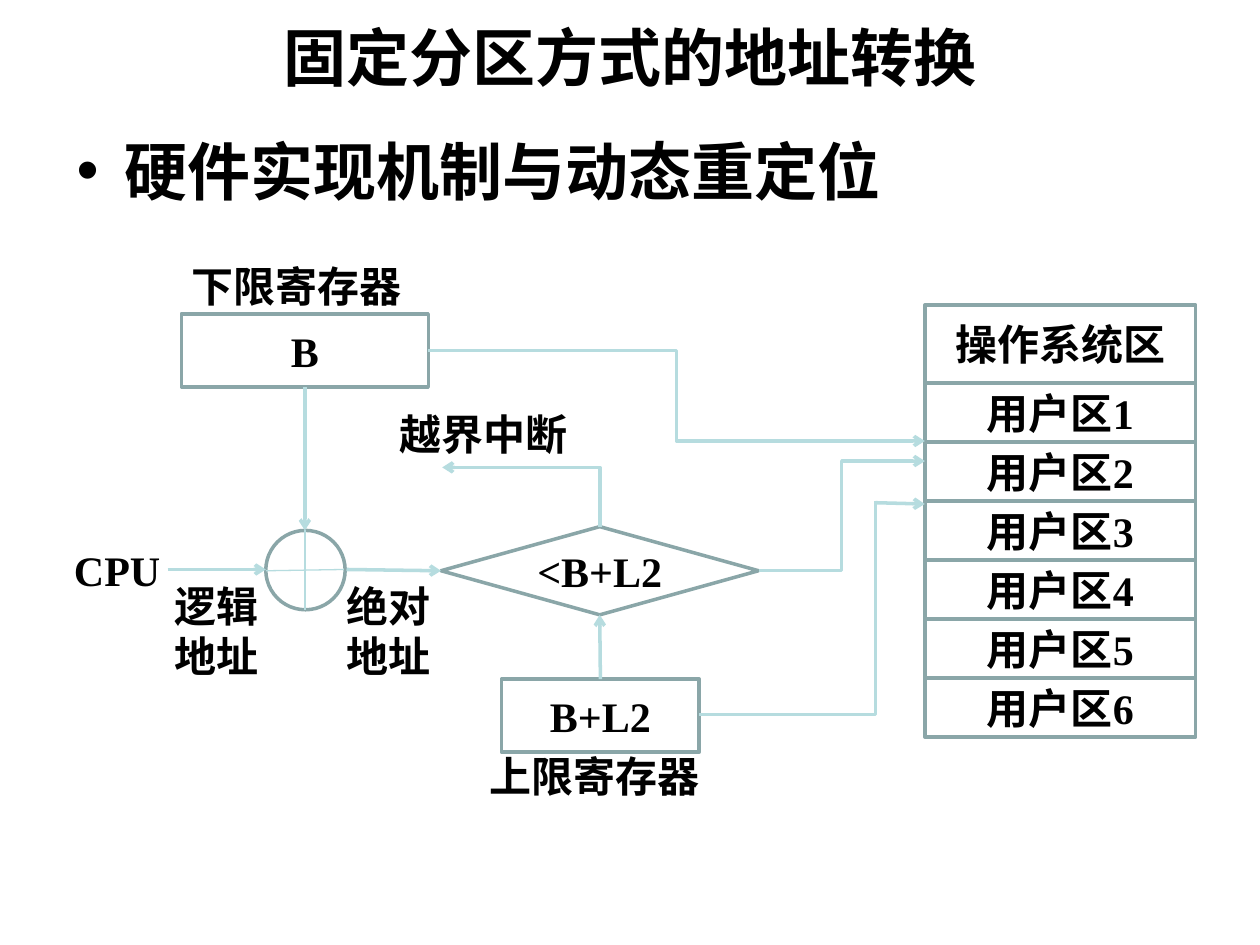
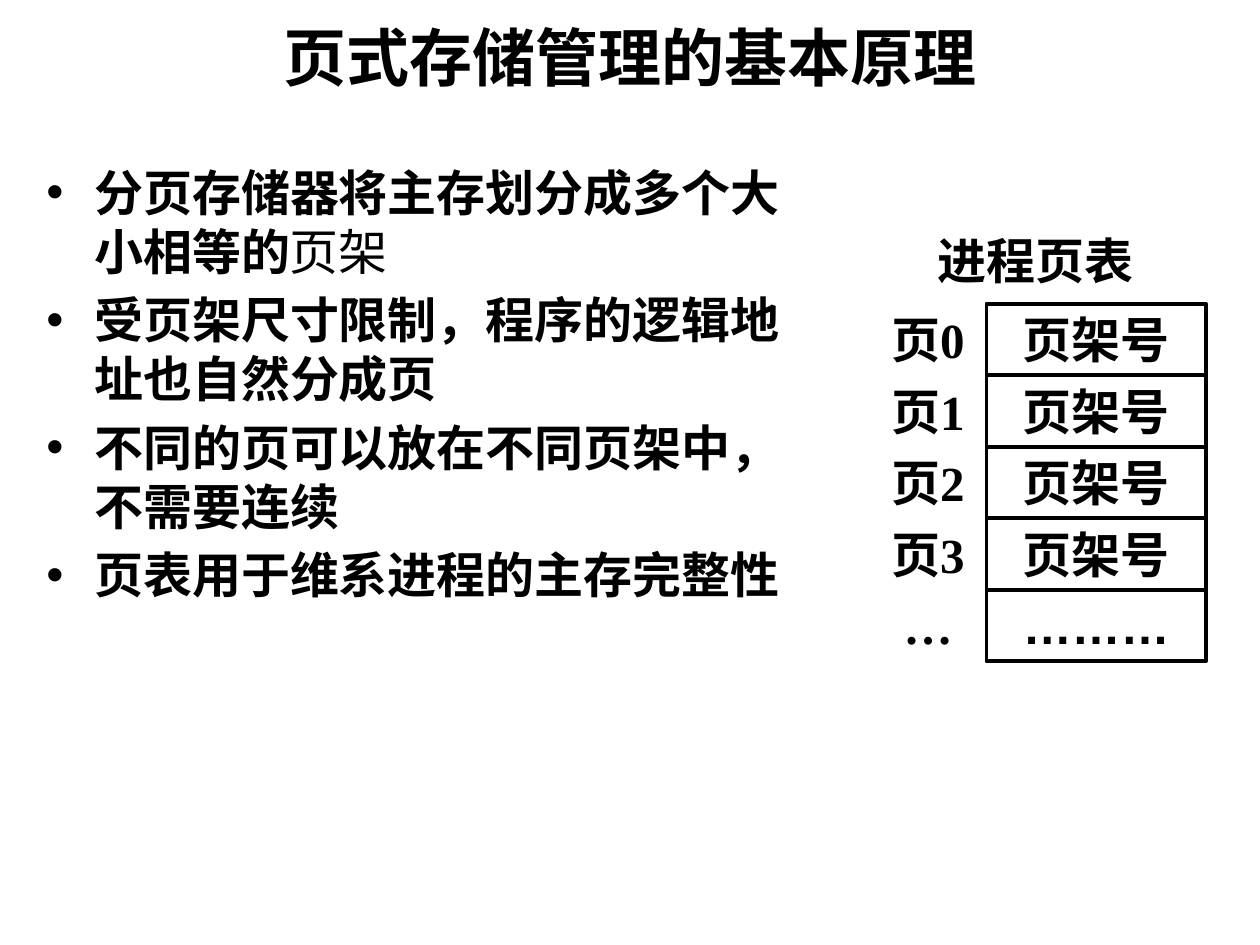
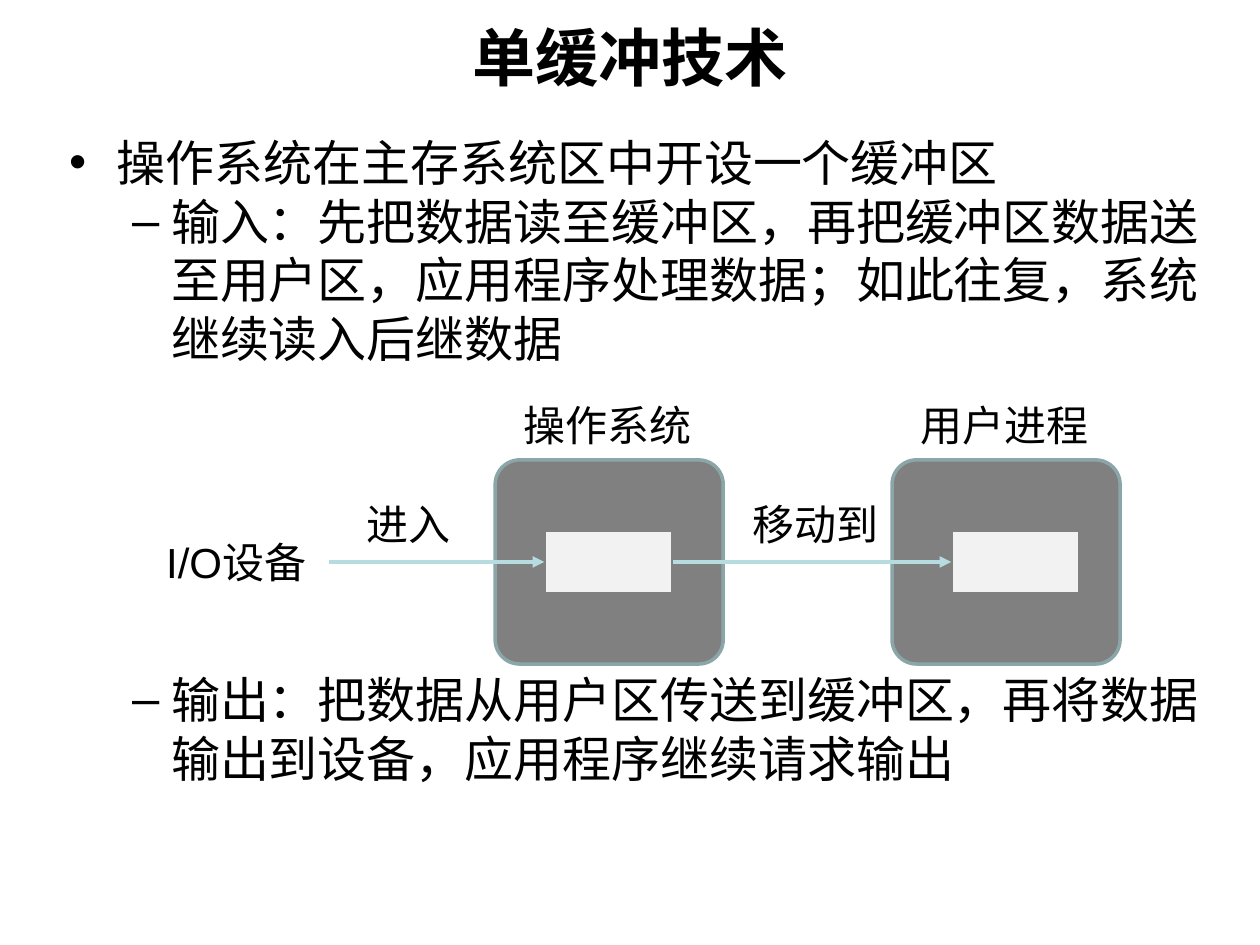
from lxml import etree
from pptx import Presentation
from pptx import util as u
from pptx.dml.color import RGBColor
from pptx.enum import shapes, text
from pptx.oxml.ns import qn

BLACK, GRAY, PALE = "000000", "808080", "F2F2F2"
FRAME, ARROW = "8AA6A8", "B6DCDF"
SERIF, SANS = "Times New Roman", "Arial"
CENTER, LEFT = text.PP_ALIGN.CENTER, text.PP_ALIGN.LEFT
MIDDLE, TOP = text.MSO_ANCHOR.MIDDLE, text.MSO_ANCHOR.TOP
SHAPE, CONNECTOR = shapes.MSO_SHAPE, shapes.MSO_CONNECTOR
TIGHT = 0.02
INDENTS = {"•": (0.38, -0.38), "–": (0.81, -0.31)}


def color(value):
    return RGBColor.from_string(value)


def inches(*values):
    return [u.Inches(value) for value in values]


def add_span(para, words, size, font, bold):
    span = para.add_run()
    span.text = words
    span.font.size = u.Pt(size)
    span.font.name = font
    span.font.bold = bold
    span.font.color.rgb = color(BLACK)


def write(frame, words, size=24, font=SERIF, bold=True, align=CENTER,
          anchor=MIDDLE, inset=0.1, wrap=True):
    """Fill a text frame, one paragraph for each line of words."""
    frame.word_wrap = wrap
    frame.vertical_anchor = anchor
    frame.margin_left = frame.margin_right = u.Inches(inset)
    for index, line in enumerate(words.split("\n")):
        para = frame.add_paragraph() if index else frame.paragraphs[0]
        para.alignment = align
        add_span(para, line, size, font, bold)


def set_bullet(para, mark):
    left, hanging = inches(*INDENTS[mark])
    properties = para._p.get_or_add_pPr()
    properties.set("marL", str(left))
    properties.set("indent", str(hanging))
    font = etree.SubElement(properties, qn("a:buFont"))
    font.set("typeface", SANS)
    etree.SubElement(properties, qn("a:buChar")).set("char", mark)


class Deck:
    """Holds the presentation and the page being drawn."""

    def __init__(self):
        self.deck = Presentation()
        self.deck.slide_width, self.deck.slide_height = inches(10, 7.5)
        self.page = None

    def start_page(self, title, font=SANS):
        self.page = self.deck.slides.add_slide(self.deck.slide_layouts[6])
        self.label(title, 0.5, 0, 9, 0.9, size=36, font=font)

    def label(self, words, left, top, width, height, **style):
        box = self.page.shapes.add_textbox(*inches(left, top, width, height))
        write(box.text_frame, words, **style)
        return box

    def caption(self, words, left, top, width, **style):
        """A one-line label that does not wrap."""
        return self.label(words, left, top, width, 0.5, align=LEFT, anchor=TOP,
                          wrap=False, **style)

    def shape(self, kind, left, top, width, height, words="", fill=None,
              line=FRAME, weight=2, **style):
        shape = self.page.shapes.add_shape(kind, *inches(left, top, width, height))
        shape.shadow.inherit = False
        if fill:
            shape.fill.solid()
            shape.fill.fore_color.rgb = color(fill)
        else:
            shape.fill.background()
        shape.line.color.rgb = color(line)
        shape.line.width = u.Pt(weight)
        if words:
            write(shape.text_frame, words, **style)
        return shape

    def bullets(self, items, left, top, width, height, size, font, bold):
        """Each item is (mark, points before, spans); a span is (words, bold) or words."""
        box = self.page.shapes.add_textbox(*inches(left, top, width, height))
        frame = box.text_frame
        frame.word_wrap = True
        for index, (mark, before, *spans) in enumerate(items):
            para = frame.add_paragraph() if index else frame.paragraphs[0]
            set_bullet(para, mark)
            if before:
                para.space_before = u.Pt(before)
            for span in spans:
                words, weight = (span, bold) if isinstance(span, str) else span
                add_span(para, words, size, font, weight)

    def line(self, start, end, kind=CONNECTOR.STRAIGHT, weight=2, head=None,
             tail="arrow", corner=False):
        """Ends are (x, y) points or (shape, side); corner makes a single bend."""
        joined = [hasattr(place[0], "shape_id") for place in (start, end)]
        points = [(0, 0) if glued else place
                  for glued, place in zip(joined, (start, end))]
        connector = self.page.shapes.add_connector(kind, *inches(*points[0], *points[1]))
        if joined[0]:
            connector.begin_connect(*start)
        if joined[1]:
            connector.end_connect(*end)
        connector.line.color.rgb = color(ARROW)
        connector.line.width = u.Pt(weight)
        properties = connector._element.spPr
        if corner:
            properties.find(qn("a:prstGeom")).set("prst", "bentConnector2")
        for tag, arrowhead in (("a:headEnd", head), ("a:tailEnd", tail)):
            if arrowhead:
                etree.SubElement(properties.find(qn("a:ln")), qn(tag)).set("type", arrowhead)
        etree.SubElement(properties, qn("a:effectLst"))

    def elbow(self, start, end, **style):
        self.line(start, end, kind=CONNECTOR.ELBOW, **style)


def address_translation(deck):
    deck.start_page("固定分区方式的地址转换", font=SERIF)
    deck.bullets([("•", 0, "硬件实现机制与动态重定位")],
                 0.51, 1, 9, 4.95, size=36, font=SANS, bold=True)

    deck.shape(SHAPE.RECTANGLE, 7.34, 2.42, 2.15, 0.62, "操作系统区")
    pitch = 2.34 / 5
    for row in range(6):
        deck.shape(SHAPE.RECTANGLE, 7.34, 3.04 + pitch * row, 2.15, 0.47, f"用户区{row + 1}")

    deck.caption("下限寄存器", 1.42, 2.02, 1.89)
    lower = deck.shape(SHAPE.RECTANGLE, 1.44, 2.49, 1.96, 0.58, "B", inset=TIGHT)
    upper = deck.shape(SHAPE.RECTANGLE, 3.98, 5.39, 1.57, 0.58, "B+L2", inset=TIGHT)
    deck.caption("上限寄存器", 3.79, 5.91, 1.89)
    check = deck.shape(SHAPE.FLOWCHART_DECISION, 3.5, 4.18, 2.52, 0.7, "<B+L2", inset=TIGHT)
    deck.caption("越界中断", 3.07, 3.19, 1.56)

    deck.label("CPU", 0.48, 4.21, 0.9, 0.63, inset=TIGHT)
    deck.label("逻辑\n地址", 1.25, 4.73, 0.94, 0.55, inset=TIGHT)
    deck.label("绝对\n地址", 2.59, 4.73, 0.99, 0.55, inset=TIGHT)
    deck.shape(SHAPE.OVAL, 2.11, 4.21, 0.63, 0.63)
    deck.line((2.11, 4.53), (2.73, 4.52), weight=0.75, tail=None)
    deck.line((2.42, 4.21), (2.42, 4.84), weight=0.75, tail=None)

    deck.line((1.33, 4.52), (2.11, 4.52))
    deck.line((lower, 2), (2.42, 4.21))
    deck.line((2.75, 4.52), (check, 1))
    deck.line((upper, 0), (check, 2))
    deck.elbow((3.51, 3.71), (4.76, 4.18), corner=True, head="arrow", tail=None)
    deck.elbow((3.4, 2.78), (7.34, 3.5))
    deck.elbow((6.02, 4.53), (7.34, 3.66))
    deck.elbow((5.55, 5.67), (6.95, 3.98), corner=True, tail=None)
    deck.line((6.95, 3.99), (7.34, 4))


def paging(deck):
    deck.start_page("页式存储管理的基本原理")
    gap = 5.6
    deck.bullets([
        ("•", 0, "分页存储器将主存划分成多个大小相等的", ("页架", False)),
        ("•", gap, "受页架尺寸限制，程序的逻辑地址也自然分成页"),
        ("•", gap, "不同的页可以放在不同页架中，不需要连续"),
        ("•", gap, "页表用于维系进程的主存完整性"),
    ], 0.27, 1.24, 6.31, 5.26, size=28, font=SERIF, bold=True)

    deck.label("进程页表", 6.88, 1.78, 2.68, 0.57, size=28, anchor=TOP)
    entries = [(f"页{number}", "页架号") for number in range(4)] + [("…", "………")]
    pitch = 2.27 / 4
    for row, (page_name, frame_number) in enumerate(entries):
        top = 2.41 + pitch * row
        deck.label(page_name, 6.89, top, 0.95, 0.57, size=28, anchor=TOP)
        deck.shape(SHAPE.RECTANGLE, 7.83, top, 1.74, 0.57, frame_number, line=BLACK,
                   weight=2.25, size=28, font=SANS, anchor=TOP)


def single_buffer(deck):
    deck.start_page("单缓冲技术")
    diagram_gap = 172.5
    deck.bullets([
        ("•", 0, "操作系统在主存系统区中开设一个缓冲区"),
        ("–", 0, "输入：先把数据读至缓冲区，再把缓冲区数据送至用户区，"
                 "应用程序处理数据；如此往复，系统继续读入后继数据"),
        ("–", diagram_gap, "输出：把数据从用户区传送到缓冲区，再将数据输出到设备，"
                           "应用程序继续请求输出"),
    ], 0.45, 1, 9.45, 5.72, size=28, font=SANS, bold=False)

    plain = {"font": SANS, "bold": False}
    buffers = []
    for owner, left, buffer_left in (("操作系统", 3.93, 4.32), ("用户进程", 7.08, 7.55)):
        area = deck.shape(SHAPE.ROUNDED_RECTANGLE, left, 3.65, 1.81, 1.62, fill=GRAY)
        area.adjustments[0] = 0.12
        buffers.append(deck.shape(SHAPE.RECTANGLE, buffer_left, 4.21, 1.02, 0.5,
                                  fill=PALE, line=GRAY))
        deck.caption(owner, left + 0.13, 3.12, 1.55, **plain)
    device = deck.caption("I/O设备", 1.22, 4.21, 1.39, **plain)
    system, user = buffers
    for source, target in ((device, system), (system, user)):
        deck.line((source, 3), (target, 1), weight=2.25, tail="triangle")
    deck.caption("进入", 2.81, 3.91, 0.88, **plain)
    deck.caption("移动到", 5.87, 3.91, 1.21, **plain)


def main():
    deck = Deck()
    address_translation(deck)
    paging(deck)
    single_buffer(deck)
    deck.deck.save("out.pptx")


if __name__ == "__main__":
    main()
